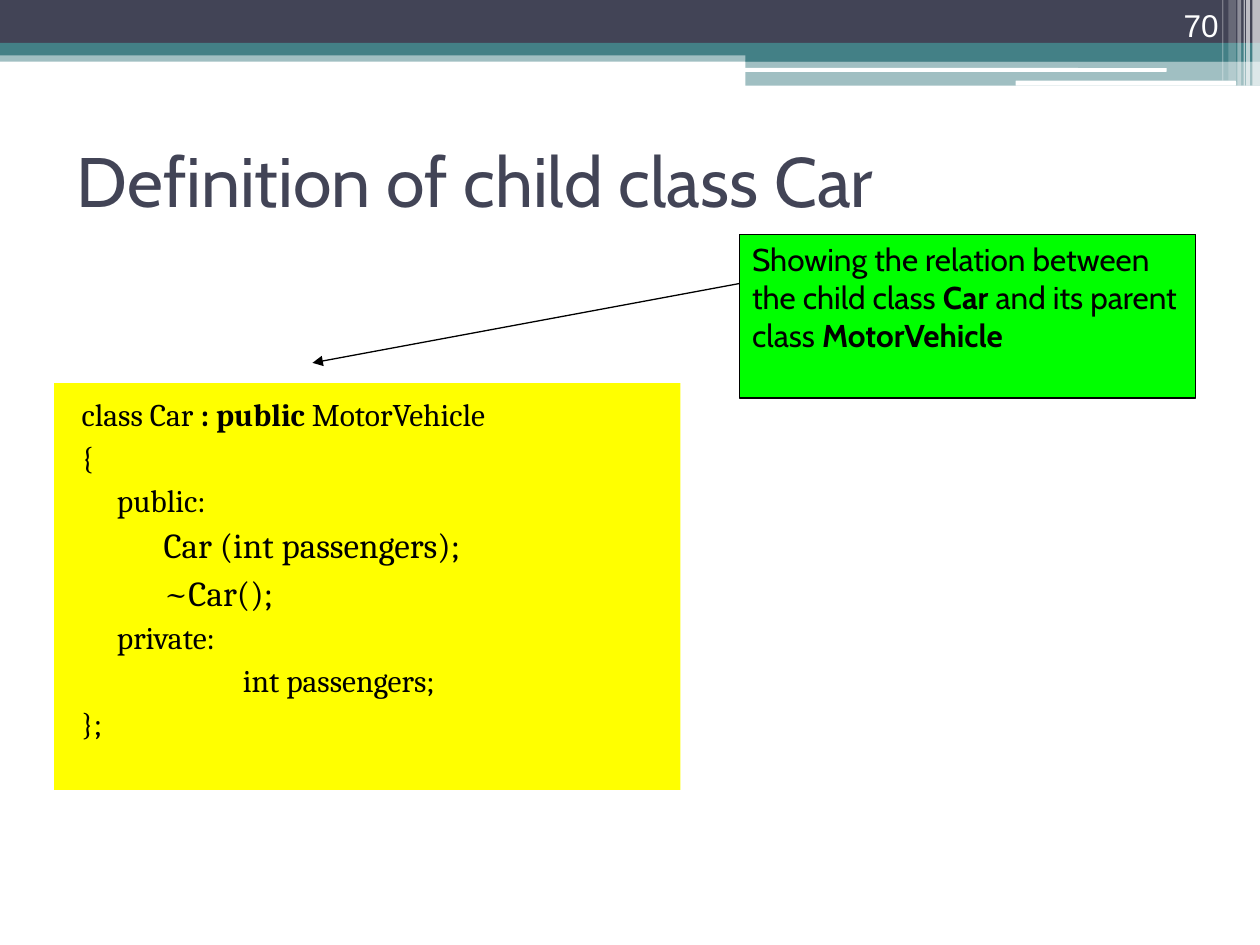
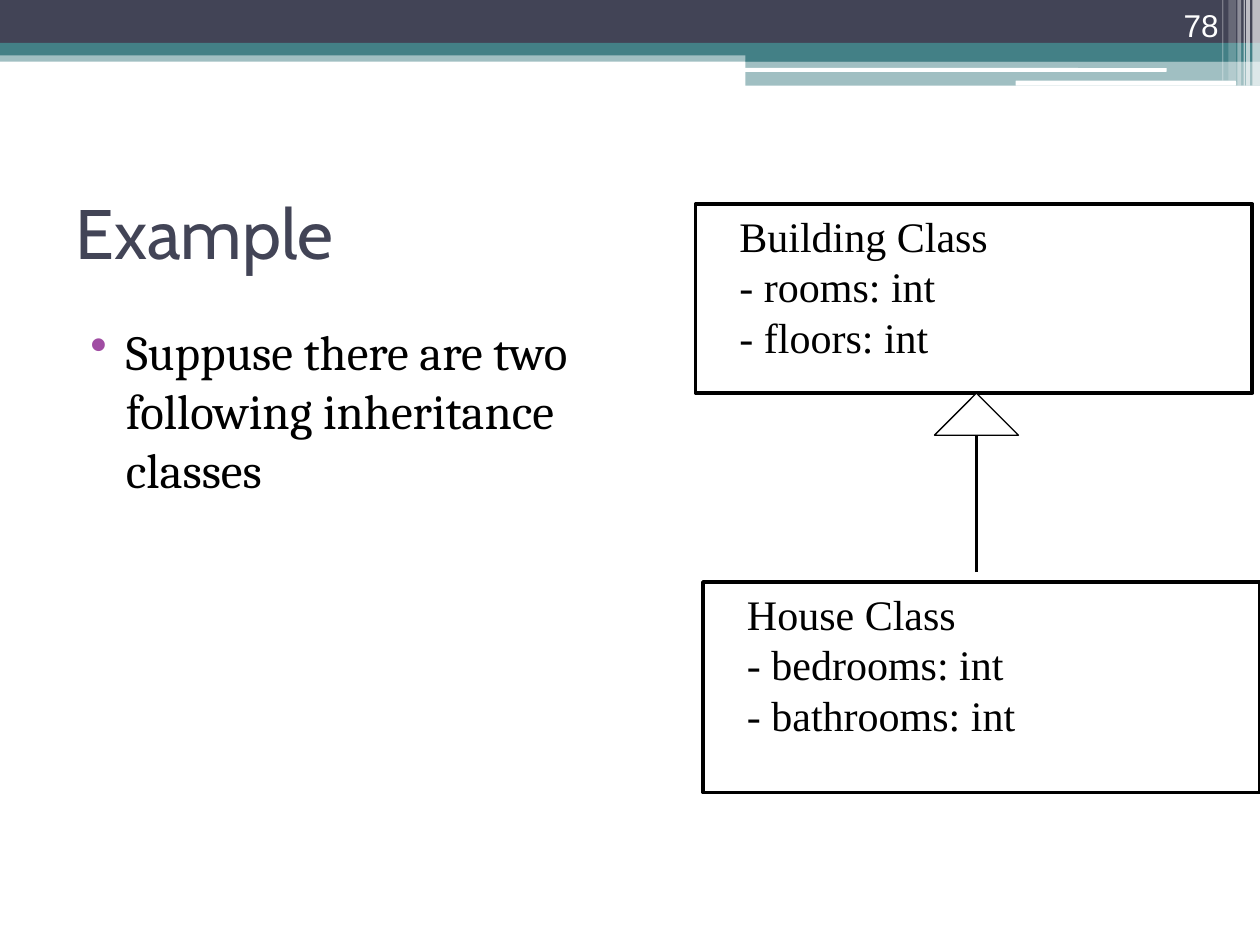
from typing import NamedTuple, Optional

from pptx import Presentation
from pptx.dml.color import RGBColor
from pptx.enum import shapes, text
from pptx.oxml import ns
from pptx.oxml.xmlchemy import OxmlElement
from pptx.util import Pt

HUES = {
    "navy": "424456",
    "teal": "438086",
    "white": "FFFFFF",
    "black": "000000",
    "yellow": "FFFF00",
    "green": "00FF00",
    "purple": "A04DA3",
}
RECT = shapes.MSO_SHAPE.RECTANGLE
ROUND = shapes.MSO_SHAPE.ROUNDED_RECTANGLE
LEFT = text.PP_ALIGN.LEFT
THIN, THICK = 0.75, 2.25


class Area(NamedTuple):
    left: float
    top: float
    width: float
    height: float


class Band(NamedTuple):
    area: Area
    hue: str
    alpha: int = 100
    kind: int = RECT


class Style(NamedTuple):
    font: str
    size: float
    hue: str = "black"


class Run(NamedTuple):
    words: str
    bold: bool = False


class Para(NamedTuple):
    runs: list[Run]
    style: Style
    left: float = 0
    hang: float = 0
    bullet: str = ""
    gap: float = 0
    align: int = LEFT


class Panel(NamedTuple):
    area: Area
    paras: list[Para]
    fill: Optional[str] = None
    line: float = 0
    inset: float = 3.6
    anchor: int = text.MSO_ANCHOR.TOP


TITLE = Style("Cabin", 40, "navy")
NUMBER = Style("Arial", 18, "white")
NOTE = Style("Cabin", 18)
CODE = Style("Cambria", 18)
MEMBER = Style("Cambria", 20)
POINT = Style("Cambria", 28)
UML = Style("Times New Roman", 24)

SLATS = [  # left, width, height, opacity of the white stripes
    (715.68, 4.32, 48.96, 65),
    (712.08, 2.16, 48.96, 65),
    (710.64, 0.72, 48.96, 60),
    (707.04, 2.16, 48.96, 40),
    (702, 4.32, 46.08, 20),
    (698.4, 0.72, 46.08, 30),
]
BANDS = [
    Band(Area(0, 28.8, 720, 6.48), "teal", 50),
    Band(Area(0, 0, 720, 24.48), "navy"),
    Band(Area(0, 24.48, 720, 7.2), "teal"),
    Band(Area(426, 28.08, 294, 7.2), "teal"),
    Band(Area(426, 34.56, 294, 14.4), "teal", 50),
    Band(Area(425.5, 38.88, 241.2, 2.16), "white", kind=ROUND),
    Band(Area(580.32, 46.08, 126, 2.88), "white", kind=ROUND),
    *(Band(Area(x, 0, w, h), "white", a) for x, w, h, a in SLATS),
]


def rgb(hue: str) -> RGBColor:
    return RGBColor.from_string(HUES[hue])


def pts(*nums: float) -> list[Pt]:
    return [Pt(n) for n in nums]


def add(parent, tag: str, **attrs: str):
    """Append a child element with the given attributes."""
    child = OxmlElement(tag)
    for key, val in attrs.items():
        child.set(key, val)
    parent.append(child)
    return child


def paint(shape, fill: Optional[str], line: float = 0) -> None:
    if fill:
        shape.fill.solid()
        shape.fill.fore_color.rgb = rgb(fill)
    else:
        shape.fill.background()
    if line:
        shape.line.color.rgb = rgb("black")
        shape.line.width = Pt(line)
    else:
        shape.line.fill.background()


def form(slide, kind: int, area: Area, fill: Optional[str], line: float = 0):
    shape = slide.shapes.add_shape(kind, *pts(*area))
    shape.shadow.inherit = False
    paint(shape, fill, line)
    return shape


def draw_band(slide, band: Band) -> None:
    shape = form(slide, band.kind, band.area, band.hue)
    if band.alpha < 100:
        hue = shape.fill._xPr.find(".//" + ns.qn("a:srgbClr"))
        add(hue, "a:alpha", val=str(band.alpha * 1000))


def write(frame, paras: list[Para]) -> None:
    for i, item in enumerate(paras):
        para = frame.add_paragraph() if i else frame.paragraphs[0]
        para.alignment = item.align
        para.space_before = Pt(item.gap if i else 0)
        props = para._p.get_or_add_pPr()
        props.set("marL", str(Pt(item.left)))
        props.set("indent", str(Pt(-item.hang)))
        if item.bullet:
            tint = add(props, "a:buClr")
            add(tint, "a:srgbClr", val=HUES["purple"])
            add(props, "a:buChar", char=item.bullet)
        for part in item.runs:
            run = para.add_run()
            run.text = part.words
            font = run.font
            font.name = item.style.font
            font.size = Pt(item.style.size)
            font.color.rgb = rgb(item.style.hue)
            font.bold = part.bold


def draw_panel(slide, panel: Panel) -> None:
    if panel.fill:
        shape = form(slide, RECT, panel.area, panel.fill, panel.line)
    else:
        shape = slide.shapes.add_textbox(*pts(*panel.area))
    frame = shape.text_frame
    frame.word_wrap = True
    frame.vertical_anchor = panel.anchor
    frame.margin_top = Pt(panel.inset)
    write(frame, panel.paras)


def draw_line(slide, ends: tuple, width: float, arrow: bool = False) -> None:
    line = slide.shapes.add_connector(shapes.MSO_CONNECTOR.STRAIGHT, *pts(*ends))
    line.line.color.rgb = rgb("black")
    line.line.width = Pt(width)
    if arrow:
        add(line.line._get_or_add_ln(), "a:tailEnd", type="triangle")
    add(line._element.spPr, "a:effectLst")


def start(deck, name: str, left: float, top: float, number: str):
    """Add a slide with its bands, page number and title."""
    slide = deck.slides.add_slide(deck.slide_layouts[5])
    for band in BANDS:
        draw_band(slide, band)
    page = Para([Run(number)], NUMBER, align=text.PP_ALIGN.RIGHT)
    draw_panel(slide, Panel(Area(643.68, 0, 59.76, 28.8), [page],
                            anchor=text.MSO_ANCHOR.BOTTOM))
    title = slide.shapes.title
    title.left, title.top, title.width, title.height = pts(left, top, 648, 84.24)
    title.text_frame.auto_size = text.MSO_AUTO_SIZE.NONE
    title.text_frame.vertical_anchor = text.MSO_ANCHOR.MIDDLE
    write(title.text_frame, [Para([Run(name)], TITLE)])
    return slide


def code(words: str, left: float, style: Style = CODE) -> Para:
    return Para([Run(words)], style, left, gap=3)


def child_slide(deck) -> None:
    slide = start(deck, "Definition of child class Car", 36.72, 60.48, "70")
    edge, label, member, field = 8.64, 28.8, 55.44, 100.8
    head = [Run("class Car "), Run(": public ", True), Run("MotorVehicle")]
    draw_panel(slide, Panel(Area(30.96, 218.88, 357.84, 232.56), [
        Para(head, CODE, edge),
        code("{", edge),
        code("public:", label),
        code("Car (int passengers);", member, MEMBER),
        code("~Car();", member, MEMBER),
        code("private:", label),
        code("int passengers;", field),
        code("};", edge),
    ], "yellow", inset=6.6))
    note = [
        Run("Showing the relation between the child class "),
        Run("Car ", True),
        Run("and its parent class "),
        Run("MotorVehicle", True),
    ]
    draw_panel(slide, Panel(Area(422.64, 133.92, 260.64, 93.6),
                            [Para(note, NOTE)], "green", THIN))
    draw_line(slide, (422.64, 162, 178.56, 207.36), THIN, arrow=True)


def uml_slide(deck) -> None:
    slide = start(deck, "Example", 36, 90, "78")
    point = Para([Run("Suppuse there are two following inheritance classes")],
                 POINT, 28.8, 20.16, "•")
    draw_panel(slide, Panel(Area(36, 177.12, 324, 340.56), [point], inset=6.6))
    base = Area(397.44, 116.64, 318.24, 108)
    heir = Area(401.76, 332.64, 318.24, 120.24)
    for area, rows in (
        (base, ("Building Class", "- rooms: int", "- floors: int")),
        (heir, ("House Class", "- bedrooms: int", "- bathrooms: int")),
    ):
        paras = [Para([Run(row)], UML, 18) for row in rows]
        draw_panel(slide, Panel(area, paras, "white", THICK))
    mid, tip, wide, tall = 558, base.top + base.height, 48, 24
    form(slide, shapes.MSO_SHAPE.ISOSCELES_TRIANGLE,
         Area(mid - wide / 2, tip, wide, tall), "white", THIN)
    draw_line(slide, (mid, 326.88, mid, tip + tall), THICK)


def main() -> None:
    deck = Presentation()
    deck.slide_width, deck.slide_height = pts(720, 540)
    child_slide(deck)
    uml_slide(deck)
    deck.save("out.pptx")


if __name__ == "__main__":
    main()
